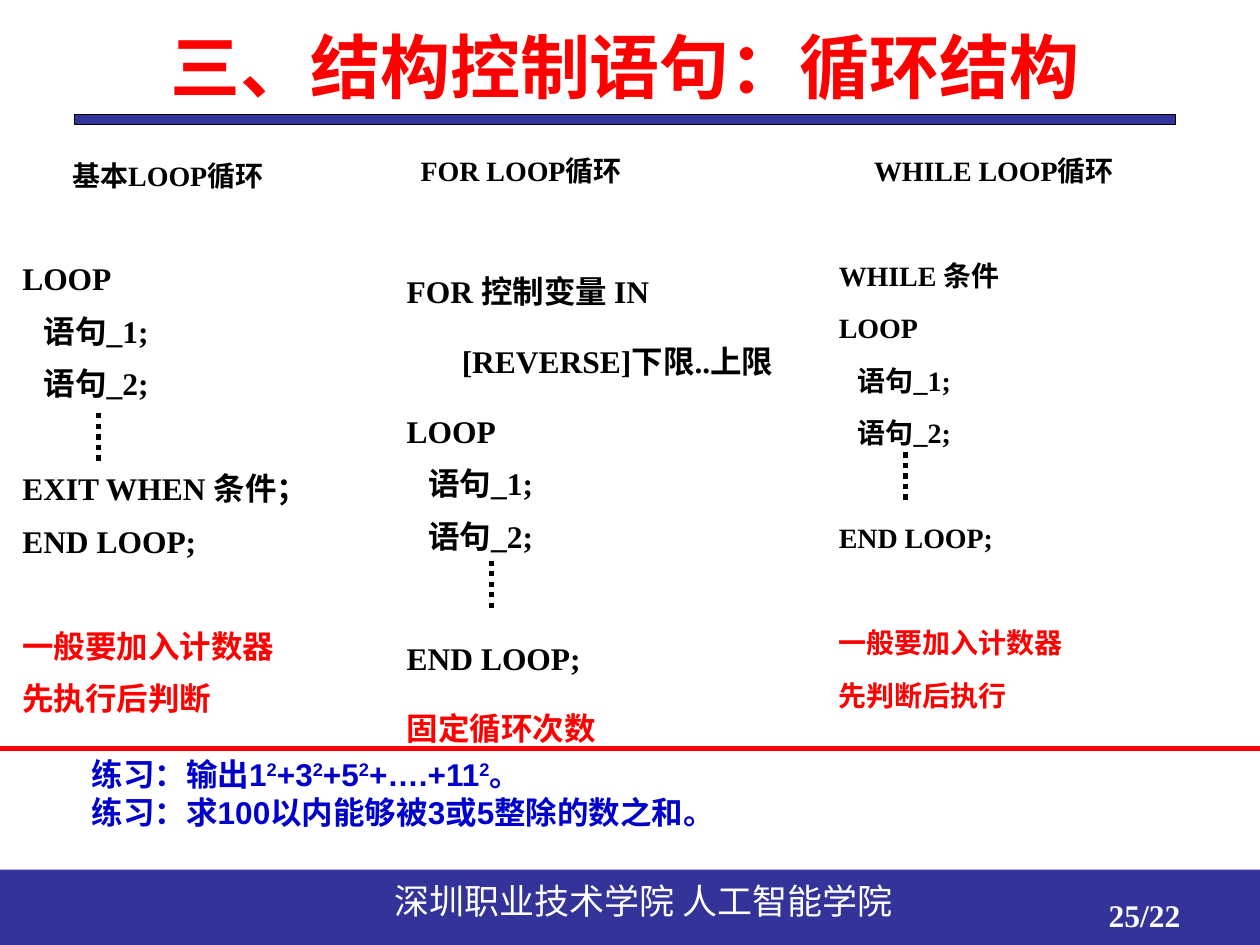
from dataclasses import dataclass

from lxml import etree
from pptx import Presentation
from pptx import util as u
from pptx.dml.color import RGBColor
from pptx.enum import dml, shapes, text
from pptx.oxml import ns

RED = RGBColor(0xFF, 0x00, 0x00)
BLACK = RGBColor(0x00, 0x00, 0x00)
WHITE = RGBColor(0xFF, 0xFF, 0xFF)
NAVY = RGBColor(0x33, 0x33, 0x99)
BLUE = RGBColor(0x00, 0x00, 0xCC)
SANS = "Noto Sans CJK SC"
SERIF = "Times New Roman"
SUPERSCRIPT_MARK = "|"


@dataclass(frozen=True)
class Line:
    content: str
    size: int = 18
    color: RGBColor = BLACK
    spacing: int | None = 30
    before: int = 0
    indent: float = 0


@dataclass(frozen=True)
class LoopColumn:
    left: float
    top: float
    width: float
    lines: tuple[Line, ...]
    dots_left: float
    dots_top: float


def statements(size: int) -> tuple[Line, ...]:
    return tuple(Line(f"   语句_{number};", size) for number in (1, 2))


COLUMNS = (
    LoopColumn(0.2, 2.69, 7.6, (
        Line("基本LOOP循环", 16, indent=1.01),
        Line("LOOP", before=30),
        *statements(18),
        Line("EXIT WHEN 条件；", before=30),
        Line("END LOOP;"),
        Line("一般要加入计数器", color=RED, before=30),
        Line("先执行后判断", color=RED),
    ), 1.98, 8.33),
    LoopColumn(7.95, 2.59, 8.7, (
        Line("FOR LOOP循环", 16, indent=0.28),
        Line("FOR 控制变量 IN", spacing=40, before=30),
        Line("       [REVERSE]下限..上限", spacing=40),
        Line("LOOP", spacing=40),
        *statements(18),
        Line("END LOOP;", spacing=40, before=30),
        Line("固定循环次数", color=RED, spacing=40),
    ), 9.91, 11.3),
    LoopColumn(16.66, 2.59, 8.6, (
        Line("WHILE LOOP循环", 16, indent=0.71),
        Line("WHILE 条件", 16, before=30),
        Line("LOOP", 16),
        *statements(16),
        Line("END LOOP;", 16, before=30),
        Line("一般要加入计数器", 16, RED, before=30),
        Line("先判断后执行", 16, RED),
    ), 18.26, 9.12),
)


def add_text(slide, lines: tuple[Line, ...], *, left: float, top: float,
             width: float, height: float, font: str = SERIF, bold: bool = True,
             align=text.PP_ALIGN.LEFT, anchor=text.MSO_ANCHOR.TOP) -> None:
    shape = slide.shapes.add_textbox(u.Cm(left), u.Cm(top), u.Cm(width), u.Cm(height))
    frame = shape.text_frame
    frame.word_wrap = True
    frame.vertical_anchor = anchor
    for index, line in enumerate(lines):
        paragraph = frame.add_paragraph() if index else frame.paragraphs[0]
        paragraph.alignment = align
        if line.spacing:
            paragraph.line_spacing = u.Pt(line.spacing)
        if line.before:
            paragraph.space_before = u.Pt(line.before)
        if line.indent:
            paragraph._p.get_or_add_pPr().set("marL", str(u.Cm(line.indent)))
        for position, part in enumerate(line.content.split(SUPERSCRIPT_MARK)):
            run = paragraph.add_run()
            run.text = part
            run.font.size = u.Pt(line.size)
            run.font.bold = bold
            run.font.name = font
            run.font.color.rgb = line.color
            properties = run._r.get_or_add_rPr()
            etree.SubElement(properties, ns.qn("a:ea"), typeface=SANS)
            if position % 2:
                properties.set("baseline", "30000")


def add_bar(slide, left: float, top: float, width: float, height: float,
            outlined: bool = False) -> None:
    shape = slide.shapes.add_shape(shapes.MSO_SHAPE.RECTANGLE, u.Cm(left), u.Cm(top),
                                   u.Cm(width), u.Cm(height))
    shape.shadow.inherit = False
    shape.fill.solid()
    shape.fill.fore_color.rgb = NAVY
    if outlined:
        shape.line.color.rgb = BLACK
        shape.line.width = u.Pt(0.75)
    else:
        shape.line.fill.background()


def add_line(slide, start: tuple[float, float], end: tuple[float, float],
             color: RGBColor, dotted: bool = False) -> None:
    points = [u.Cm(value) for value in (*start, *end)]
    connector = slide.shapes.add_connector(shapes.MSO_CONNECTOR.STRAIGHT, *points)
    connector.line.color.rgb = color
    connector.line.width = u.Pt(3)
    if dotted:
        connector.line.dash_style = dml.MSO_LINE.ROUND_DOT
    etree.SubElement(connector._element.spPr, ns.qn("a:effectLst"))


def main() -> None:
    presentation = Presentation()
    presentation.slide_width = u.Cm(25.4)
    presentation.slide_height = u.Cm(19.05)
    slide = presentation.slides.add_slide(presentation.slide_layouts[6])

    add_bar(slide, 0, 17.53, 25.4, 1.52)
    add_bar(slide, 1.5, 2.31, 22.2, 0.2, outlined=True)
    add_text(slide, (Line("深圳职业技术学院 人工智能学院", 20, WHITE, None),),
             left=7.7, top=17.6, width=12.55, height=1.12, font=SANS, bold=False)
    add_text(slide, (Line("三、结构控制语句：循环结构", 40, RED, None),),
             left=1.5, top=0.33, width=22.2, height=2, font=SANS,
             align=text.PP_ALIGN.CENTER, anchor=text.MSO_ANCHOR.MIDDLE)

    for column in COLUMNS:
        add_text(slide, column.lines, left=column.left, top=column.top,
                 width=column.width, height=12.4)
        add_line(slide, (column.dots_left, column.dots_top),
                 (column.dots_left, column.dots_top + 1), BLACK, dotted=True)

    add_line(slide, (0, 15.09), (25.4, 15.09), RED)
    exercises = ("练习：输出1|2|+3|2|+5|2|+….+11|2|。",
                 "练习：求100以内能够被3或5整除的数之和。")
    add_text(slide, tuple(Line(exercise, 18, BLUE, None) for exercise in exercises),
             left=1.6, top=15.09, width=23.42, height=2.54, font="Arial")
    add_text(slide, (Line("25/22", 18, WHITE, None),),
             left=22.1, top=17.93, width=3.3, height=1.12)
    presentation.save("out.pptx")


if __name__ == "__main__":
    main()
